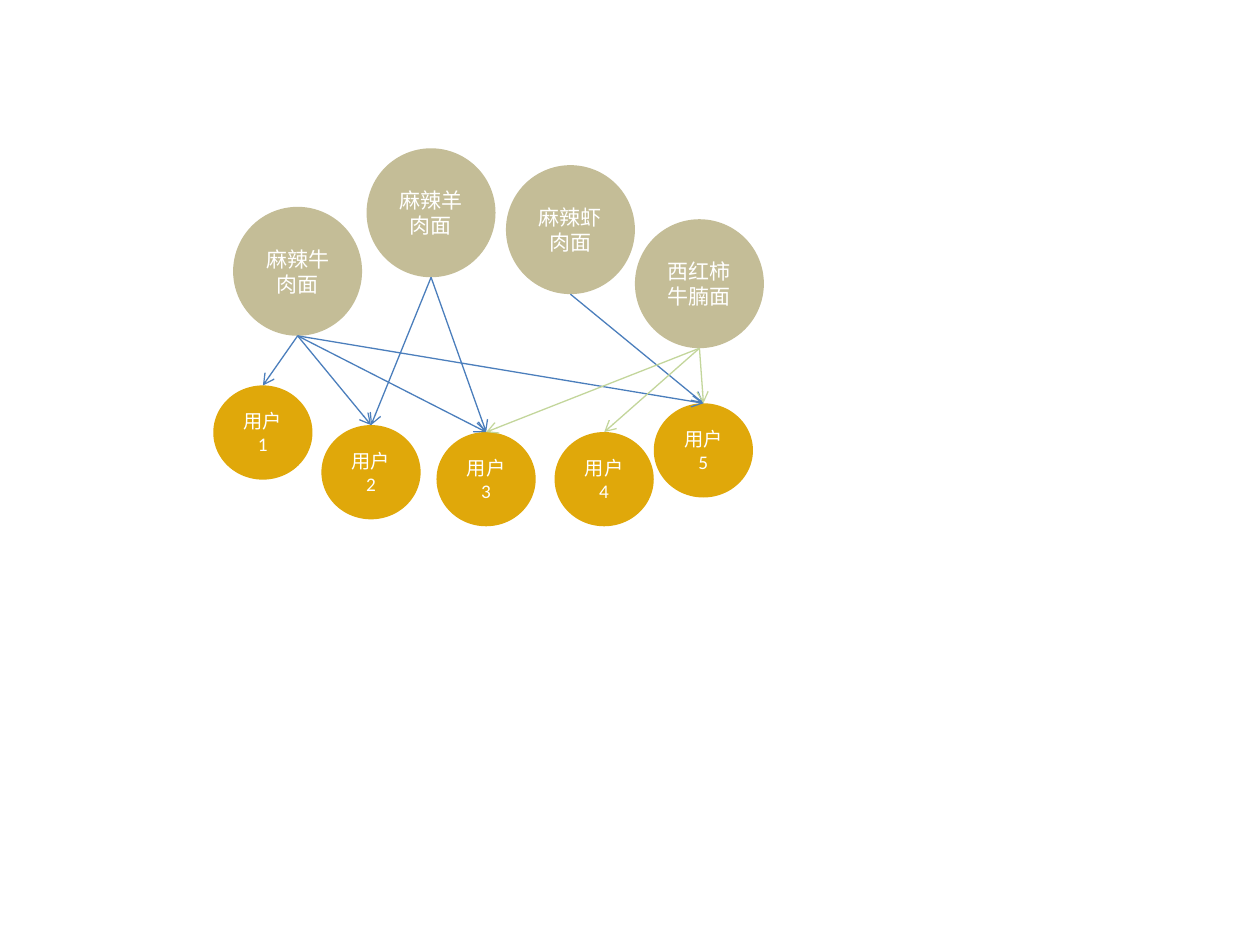
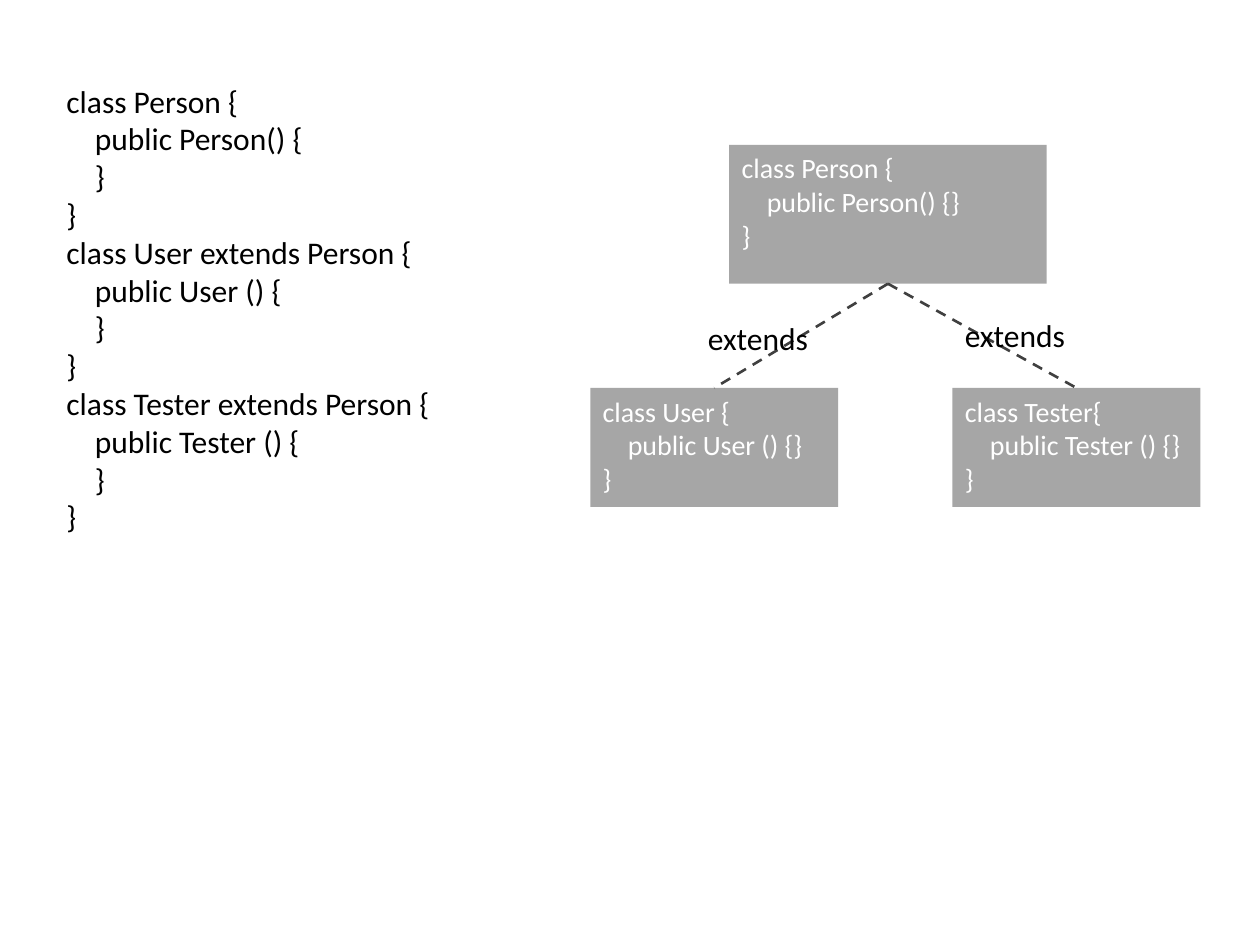
from lxml import etree
from pptx import Presentation
from pptx import util as u
from pptx.dml.color import RGBColor
from pptx.enum import dml, shapes, text
from pptx.oxml.ns import qn

# Shared style
FONT = "Calibri"
WHITE, BLACK = "FFFFFF", "000000"
DISH, USER, CLASS = "C4BD97", "E0A80A", "A6A6A6"
BLUE, GREEN, DARK = "4B7EBC", "C3D69B", "404040"
color = RGBColor.from_string


def write_text(shape, content, size, font_color=WHITE,
               align=text.PP_ALIGN.LEFT, anchor=text.MSO_ANCHOR.TOP):
    """Write one paragraph per line; a leading tab becomes an indent."""
    frame = shape.text_frame
    frame.word_wrap = True
    frame.vertical_anchor = anchor
    for number, line in enumerate(content.split("\n")):
        paragraph = frame.add_paragraph() if number else frame.paragraphs[0]
        paragraph.alignment = align
        if line.startswith("\t"):
            paragraph._p.get_or_add_pPr().set("marL", str(u.Pt(0.9 * size)))
        run = paragraph.add_run()
        run.text = line.strip()
        run.font.name = FONT
        run.font.size = u.Pt(size)
        run.font.color.rgb = color(font_color)


def connect(slide, source, target, line_color, width, bottom_site=2, arrow=False):
    """Join the bottom of source to the top of target."""
    connector = slide.shapes.add_connector(shapes.MSO_CONNECTOR.STRAIGHT, 0, 0, 0, 0)
    connector.begin_connect(source, 2)
    connector.end_connect(target, 0)
    # An ellipse numbers its bottom site 4, a rectangle 2
    connector._element.xpath(".//a:stCxn")[0].set("idx", str(bottom_site))
    connector.line.color.rgb = color(line_color)
    connector.line.width = u.Pt(width)
    if arrow:
        etree.SubElement(connector.line._get_or_add_ln(), qn("a:tailEnd"), type="arrow")
    etree.SubElement(connector._element.spPr, qn("a:effectLst"))
    return connector


presentation = Presentation()
presentation.slide_width, presentation.slide_height = u.Cm(25.4), u.Cm(19.05)
blank = presentation.slide_layouts[6]
filled = []  # (shape, fill colour)

# Slide 1: dishes and the users who chose them
slide = presentation.slides.add_slide(blank)
circle_rows = [
    (DISH, 12, 2.6, 2.6, [("麻辣牛肉面", 4.7, 4.17), ("麻辣羊肉面", 7.39, 2.99),
                          ("麻辣虾肉面", 10.2, 3.33), ("西红柿牛腩面", 12.8, 4.42)]),
    (USER, 11, 2, 1.9, [("用户1", 4.3, 7.77), ("用户2", 6.48, 8.57), ("用户3", 8.8, 8.71),
                        ("用户4", 11.18, 8.71), ("用户5", 13.18, 8.13)]),
]
circles = {}
for fill, size, width, height, places in circle_rows:
    for name, left, top in places:
        circle = slide.shapes.add_shape(shapes.MSO_SHAPE.OVAL, u.Cm(left), u.Cm(top),
                                        u.Cm(width), u.Cm(height))
        write_text(circle, name, size, align=text.PP_ALIGN.CENTER,
                   anchor=text.MSO_ANCHOR.MIDDLE)
        circles[name] = circle
        filled.append((circle, fill))

choices = [("麻辣牛肉面", BLUE, (1, 2, 3, 5)), ("麻辣羊肉面", BLUE, (2, 3)),
           ("麻辣虾肉面", BLUE, (5,)), ("西红柿牛腩面", GREEN, (4, 5, 3))]
for dish, line_color, users in choices:
    for user in users:
        connect(slide, circles[dish], circles[f"用户{user}"], line_color, 0.75,
                bottom_site=4, arrow=True)

# Slide 2: class inheritance, code on the left
slide = presentation.slides.add_slide(blank)
code = "\n".join(f"class {head} {{\n\tpublic {constructor} {{\n\t}}\n}}"
                 for head, constructor in [("Person", "Person()"),
                                           ("User extends Person", "User ()"),
                                           ("Tester extends Person", "Tester ()")])
code_box = slide.shapes.add_textbox(u.Cm(1.09), u.Cm(1.52), u.Cm(8), u.Cm(9.5))
write_text(code_box, code, 18, BLACK)

# Class boxes
class_boxes = []
for head, constructor, left, top, width, height in [
        ("Person {", "Person()", 14.7, 2.92, 6.4, 2.8),
        ("Tester{", "Tester ()", 19.2, 7.82, 5, 2.4),
        ("User {", "User ()", 11.9, 7.82, 5, 2.4)]:
    box = slide.shapes.add_shape(shapes.MSO_SHAPE.RECTANGLE, u.Cm(left), u.Cm(top),
                                 u.Cm(width), u.Cm(height))
    write_text(box, f"class {head}\n\tpublic {constructor} {{}}\n}}", 16)
    class_boxes.append(box)
    filled.append((box, CLASS))

# Inheritance lines and their labels
parent, *children = class_boxes
for child in children:
    connector = connect(slide, parent, child, DARK, 1.5)
    connector.line.dash_style = dml.MSO_LINE.DASH
for left, top in [(14.02, 6.3), (19.2, 6.25)]:
    label = slide.shapes.add_textbox(u.Cm(left), u.Cm(top), u.Cm(2.7), u.Cm(1.02))
    write_text(label, "extends", 18, BLACK)

# Flat fills for every circle and box
for shape, fill in filled:
    shape.shadow.inherit = False
    shape.fill.solid()
    shape.fill.fore_color.rgb = color(fill)
    shape.line.fill.background()

presentation.save("out.pptx")
